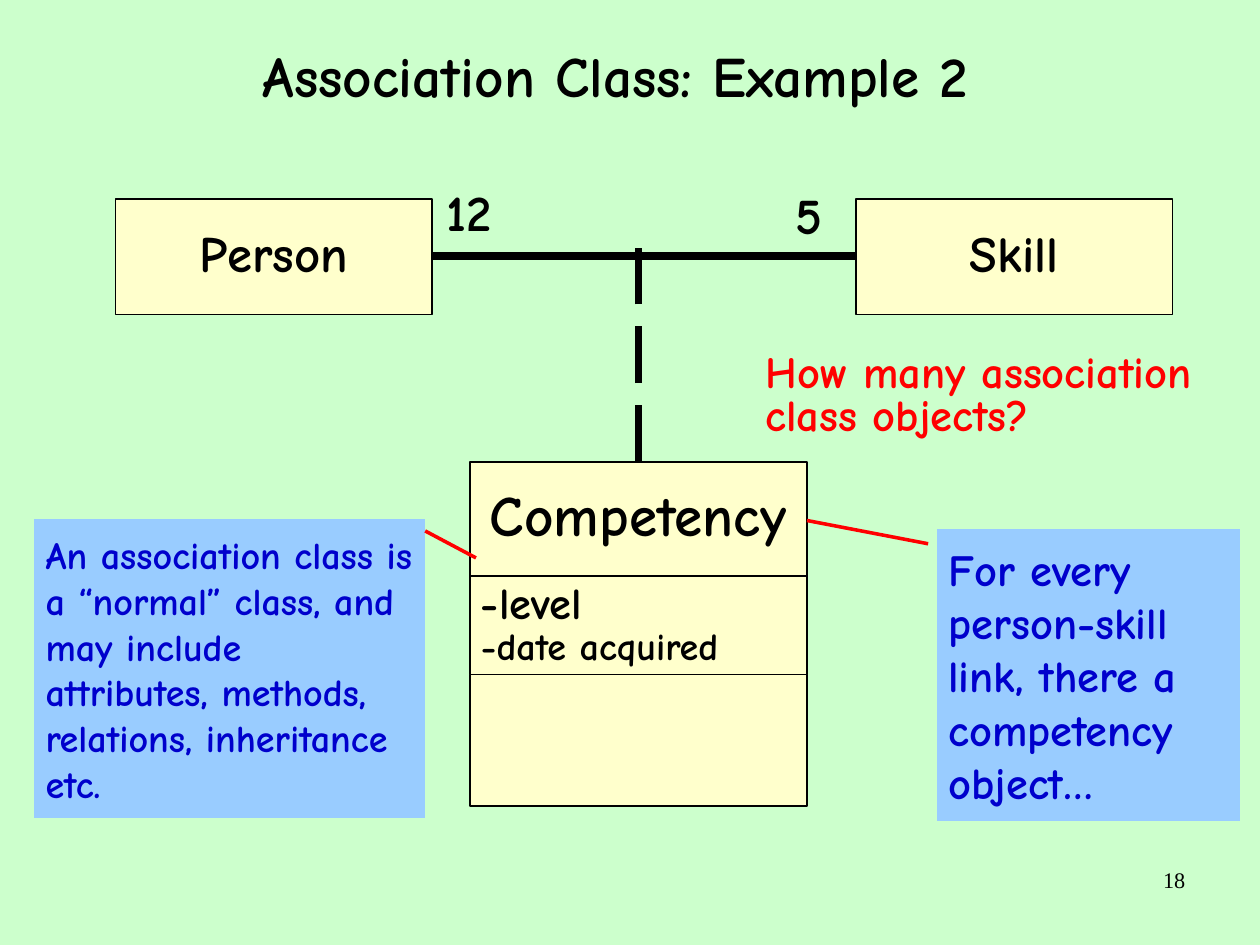
import pptx
import pptx.util
import pptx.dml.color
import pptx.enum.dml
import pptx.enum.shapes
import pptx.enum.text
from dataclasses import dataclass
from lxml import etree

Inches = pptx.util.Inches
Pt = pptx.util.Pt
SHAPE = pptx.enum.shapes.MSO_SHAPE
ALIGN = pptx.enum.text.PP_ALIGN
ANCHOR = pptx.enum.text.MSO_ANCHOR


@dataclass(frozen=True)
class Theme:
    font: str = "Comic Neue"
    number_font: str = "Times New Roman"
    background: str = "CCFFCC"
    class_fill: str = "FFFFCC"
    note_fill: str = "99CCFF"
    ink: str = "000000"
    note_ink: str = "0000CC"
    accent: str = "FF0000"
    title: int = 36
    name: int = 32
    large: int = 28
    body: int = 24
    number: int = 14
    border: float = 1
    pointer: float = 2.25
    link: float = 4.5


THEME = Theme()


def rgb(value):
    return pptx.dml.color.RGBColor.from_string(value)


def paint(fill, color):
    fill.solid()
    fill.fore_color.rgb = rgb(color)


def write(sp, lines, color=THEME.ink, align=ALIGN.LEFT, anchor=ANCHOR.TOP,
          spacing=None, wrap=True, font=THEME.font, bold=True):
    """Fill a shape with paragraphs given as (text, size) pairs."""
    tf = sp.text_frame
    tf.word_wrap = wrap
    tf.vertical_anchor = anchor
    for i, (text, size) in enumerate(lines):
        p = tf.paragraphs[0] if i == 0 else tf.add_paragraph()
        p.alignment = align
        if spacing:
            p.line_spacing = spacing
        r = p.add_run()
        r.text = text
        r.font.name = font
        r.font.size = Pt(size)
        r.font.bold = bold
        r.font.color.rgb = rgb(color)


def add_label(slide, box, text, size, **style):
    sp = slide.shapes.add_textbox(*map(Inches, box))
    write(sp, [(text, size)], **style)
    return sp


def add_shape(slide, kind, box, fill, line, width):
    sp = slide.shapes.add_shape(kind, *map(Inches, box))
    sp.shadow.inherit = False
    paint(sp.fill, fill)
    sp.line.color.rgb = rgb(line)
    sp.line.width = Pt(width)
    return sp


def add_compartment(slide, box, lines=(), align=ALIGN.CENTER):
    sp = add_shape(slide, SHAPE.RECTANGLE, box, THEME.class_fill, THEME.ink, THEME.border)
    write(sp, lines, align=align, anchor=ANCHOR.MIDDLE, spacing=0.87, wrap=False)


def add_link(slide, x1, y1, x2, y2, dash=None):
    line = slide.shapes.add_connector(
        pptx.enum.shapes.MSO_CONNECTOR.STRAIGHT, *map(Inches, (x1, y1, x2, y2)))
    line.line.color.rgb = rgb(THEME.ink)
    line.line.width = Pt(THEME.link)
    if dash:
        line.line.dash_style = dash
    etree.SubElement(line._element.spPr, pptx.oxml.ns.qn("a:effectLst"))


def add_title(slide, box, text):
    sp = add_label(slide, box, text, THEME.title, align=ALIGN.CENTER,
                   anchor=ANCHOR.MIDDLE, spacing=0.94)
    tf = sp.text_frame
    tf.margin_left = Inches(0.16)
    tf.margin_right = tf.margin_top = tf.margin_bottom = 0


def add_association(slide, box):
    """Two linked classes at the ends of the box, with their multiplicities."""
    x, y, w, h = box
    class_w = 2.77
    left_end = x + class_w
    right_end = x + w - class_w
    middle = y + 0.5
    for left, name in ((right_end, "Skill"), (x, "Person")):
        add_compartment(slide, (left, y, class_w, h), [(name, THEME.name)])
    add_link(slide, left_end, middle, right_end, middle)
    for left, top, width, count in ((left_end + 0.03, y - 0.21, 0.86, "12"),
                                    (right_end - 0.63, y - 0.18, 0.62, "5")):
        sp = add_label(slide, (left, top, width, 0.64), count, THEME.name)
        paint(sp.fill, THEME.background)


def add_association_class(slide, box, link_top):
    """Three stacked compartments, tied by a dashed line to the association."""
    x, y, w, h = box
    name_h, attributes_h = 1, 0.86
    attributes_y = y + name_h
    methods_y = attributes_y + attributes_h
    add_compartment(slide, (x, y, w, name_h), [("Competency", THEME.title)])
    add_compartment(slide, (x, attributes_y, w, attributes_h),
                    [("-level", THEME.large), ("-date acquired", THEME.body)], ALIGN.LEFT)
    add_compartment(slide, (x, methods_y, w, y + h - methods_y))
    add_link(slide, x + w / 2, y, x + w / 2, link_top,
             pptx.enum.dml.MSO_LINE.LONG_DASH)


def add_note(slide, box, text, size, pointer):
    """Callout whose pointer is (y1, x1, y2, x2) as fractions of the box."""
    sp = add_shape(slide, SHAPE.LINE_CALLOUT_1_NO_BORDER, box,
                   THEME.note_fill, THEME.accent, THEME.pointer)
    for i, value in enumerate(pointer):
        sp.adjustments[i] = value
    write(sp, [(text, size)], THEME.note_ink, anchor=ANCHOR.MIDDLE)


def build_slide(prs):
    slide = prs.slides.add_slide(prs.slide_layouts[6])
    paint(slide.background.fill, THEME.background)

    # Title and slide number
    add_title(slide, (0.6, 0, 9.41, 1.37), "Association Class: Example 2")
    add_label(slide, (7.9, 7.53, 2.57, 0.57), "18", THEME.number,
              align=ALIGN.RIGHT, font=THEME.number_font, bold=False)

    # Class diagram
    add_association(slide, (1.01, 1.74, 9.25, 1.01))
    add_association_class(slide, (4.11, 4.04, 2.95, 3.01), link_top=2.17)

    # Notes and question
    add_note(slide, (0.3, 4.54, 3.42, 2.62),
             "An association class is a “normal” class, and may include "
             "attributes, methods, relations, inheritance etc.",
             THEME.body, (0.04, 1, 0.13, 1.13))
    add_note(slide, (8.2, 4.63, 2.65, 2.55),
             "For every person-skill link, there a competency object…",
             THEME.large, (0.05, -0.03, -0.03, -0.43))
    add_label(slide, (6.6, 3.05, 4.43, 0.86), "How many association class objects?",
              THEME.large, color=THEME.accent, spacing=0.8)


def main():
    prs = pptx.Presentation()
    # Page of 11.02 by 8.27 inches, in exact points
    prs.slide_width = Pt(793.75)
    prs.slide_height = Pt(595.25)
    build_slide(prs)
    prs.save("out.pptx")


if __name__ == "__main__":
    main()
